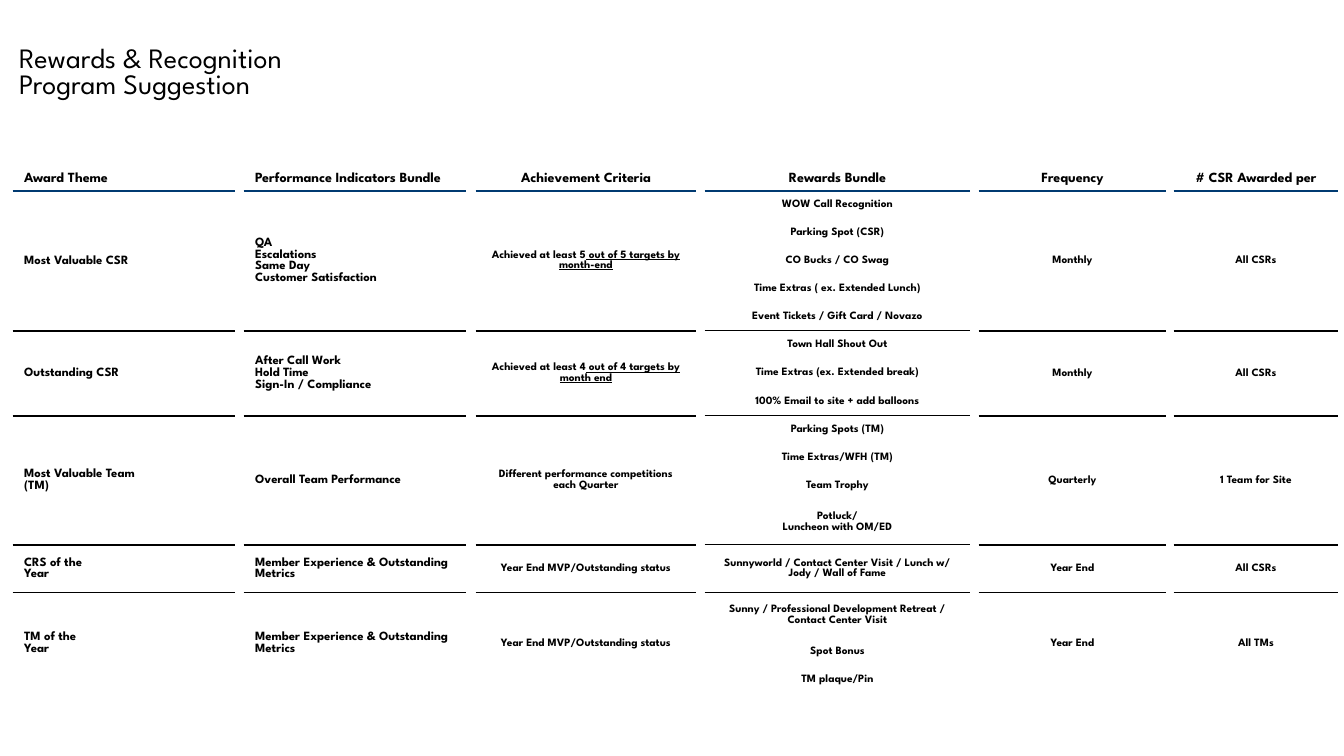
import dataclasses

import lxml.etree
import pptx
import pptx.dml.color
import pptx.enum.text
import pptx.oxml.ns
import pptx.util

ANCHOR = pptx.enum.text.MSO_ANCHOR
ALIGN = pptx.enum.text.PP_ALIGN


@dataclasses.dataclass(frozen=True)
class Theme:
    font: str = "League Spartan"
    ink: str = "000000"
    paper: str = "FFFFFF"
    accent: str = "003A71"
    title_size: int = 20
    header_size: int = 10
    label_size: int = 9
    detail_size: int = 8
    rule: float = 1
    thick_rule: float = 2.25


def px(length):
    return pptx.util.Emu(round(length * 914400 / 100.8))


class AwardSlide:
    def __init__(self, deck, theme):
        self.theme = theme
        self.page = deck.slides.add_slide(deck.slide_layouts[6])

    def table(self, left, top, width, heights):
        """Add an unbanded one-column table and return its cells."""
        frame = self.page.shapes.add_table(
            len(heights), 1, px(left), px(top), px(width), px(sum(heights)))
        table = frame.table
        table.first_row = table.horz_banding = False
        for row, height in zip(table.rows, heights):
            row.height = px(height)
        return [row.cells[0] for row in table.rows]

    def cell_text(self, cell, text, size, bold=True, align=ALIGN.LEFT):
        """Fill a cell; within a line, what follows a bar is underlined."""
        cell.text_frame.text = text.replace("|", "")
        for para, line in zip(cell.text_frame.paragraphs, text.split("\n")):
            para.alignment = align
            plain, _, underlined = line.partition("|")
            if underlined:
                para.text = plain
                para.add_run().text = underlined
                para.runs[1].font.underline = True
            for span in para.runs:
                span.font.name = self.theme.font
                span.font.size = pptx.util.Pt(size)
                span.font.bold = bold
                span.font.color.rgb = pptx.dml.color.RGBColor.from_string(self.theme.ink)

    def borders(self, cell, top, bottom):
        """Draw the four sides, each a (colour, points) pair; left and right are paper."""
        side = (self.theme.paper, self.theme.thick_rule)
        qn = pptx.oxml.ns.qn
        properties = cell._tc.get_or_add_tcPr()
        for tag, (colour, points) in zip(("lnL", "lnR", "lnT", "lnB"),
                                         (side, side, top, bottom)):
            line = lxml.etree.SubElement(properties, qn("a:" + tag),
                                         w=str(int(pptx.util.Pt(points))))
            fill = lxml.etree.SubElement(line, qn("a:solidFill"))
            lxml.etree.SubElement(fill, qn("a:srgbClr"), val=colour)

    def title(self, text):
        cell = self.table(8, 38, 548, [176])[0]
        cell.margin_left = cell.margin_top = cell.margin_bottom = px(11)
        cell.margin_right = px(30)
        cell.fill.background()
        self.cell_text(cell, text, self.theme.title_size, bold=False)

    def column(self, left, width, header, groups, bands, size, align):
        """Add one column; a rule closes every group of cells but the last."""
        theme = self.theme
        blank = (theme.paper, theme.thick_rule)
        rule = (theme.ink, theme.rule)
        entries = [(header, theme.header_size, (theme.accent, theme.thick_rule))]
        for group in groups:
            closing = blank if group is groups[-1] else rule
            entries += [(text, size, blank) for text in group[:-1]]
            entries.append((group[-1], size, closing))
        heights = [HEADER_HEIGHT] + [height for band in bands for height in band]
        above = blank
        for cell, (text, points, below) in zip(
                self.table(left, TABLE_TOP, width, heights), entries):
            self.borders(cell, above, below)
            cell.fill.solid()
            cell.fill.fore_color.rgb = pptx.dml.color.RGBColor.from_string(theme.paper)
            is_header = points == theme.header_size
            cell.vertical_anchor = ANCHOR.BOTTOM if is_header else ANCHOR.MIDDLE
            self.cell_text(cell, text, points, align=align)
            above = below


TABLE_TOP = 139
HEADER_HEIGHT = 52
REWARD_BANDS = [[28] * 5, [28, 28, 29], [28, 28, 28, 45], [48], [45, 28, 28]]
AWARD_BANDS = [[sum(band)] for band in REWARD_BANDS]

LABEL_COLUMNS = [
    (14, 220, "Award Theme",
     ["Most Valuable CSR", "Outstanding CSR", "Most Valuable Team\n(TM)",
      "CRS of the\nYear", "TM of the\nYear"]),
    (245, 220, "Performance Indicators Bundle",
     ["QA\nEscalations\nSame Day\nCustomer Satisfaction",
      "After Call Work\nHold Time\nSign-In / Compliance",
      "Overall Team Performance",
      "Member Experience & Outstanding Metrics",
      "Member Experience & Outstanding Metrics"]),
]
DETAIL_COLUMNS = [
    (477, 218, "Achievement Criteria",
     ["Achieved at least 5| out of 5 targets by month-end",
      "Achieved at least 4| out of 4 targets by month end",
      "Different performance competitions each Quarter",
      "Year End MVP/Outstanding status",
      "Year End MVP/Outstanding status"]),
    (980, 185, "Frequency",
     ["Monthly", "Monthly", "Quarterly", "Year End", "Year End"]),
    (1175, 162, "# CSR Awarded per",
     ["All CSRs", "All CSRs", "1 Team for Site", "All CSRs", "All TMs"]),
]
REWARDS = [
    ["WOW Call Recognition", "Parking Spot (CSR)", "CO Bucks / CO Swag",
     "Time Extras ( ex. Extended Lunch)", "Event Tickets / Gift Card / Novazo"],
    ["Town Hall Shout Out", "Time Extras (ex. Extended break)",
     "100% Email to site + add balloons"],
    ["Parking Spots (TM)", "Time Extras/WFH (TM)", "Team Trophy",
     "Potluck/\nLuncheon with OM/ED"],
    ["Sunnyworld / Contact Center Visit / Lunch w/ Jody / Wall of Fame"],
    ["Sunny / Professional Development Retreat / Contact Center Visit",
     "Spot Bonus", "TM plaque/Pin"],
]


def main():
    deck = pptx.Presentation()
    deck.slide_width, deck.slide_height = px(1344), px(756)
    theme = Theme()
    slide = AwardSlide(deck, theme)
    slide.title("Rewards & Recognition\nProgram Suggestion")
    for columns, size, align in ((LABEL_COLUMNS, theme.label_size, ALIGN.LEFT),
                                 (DETAIL_COLUMNS, theme.detail_size, ALIGN.CENTER)):
        for left, width, header, texts in columns:
            groups = [[text] for text in texts]
            slide.column(left, width, header, groups, AWARD_BANDS, size, align)
    slide.column(706, 263, "Rewards Bundle", REWARDS, REWARD_BANDS,
                 theme.detail_size, ALIGN.CENTER)
    deck.save("out.pptx")


if __name__ == "__main__":
    main()
